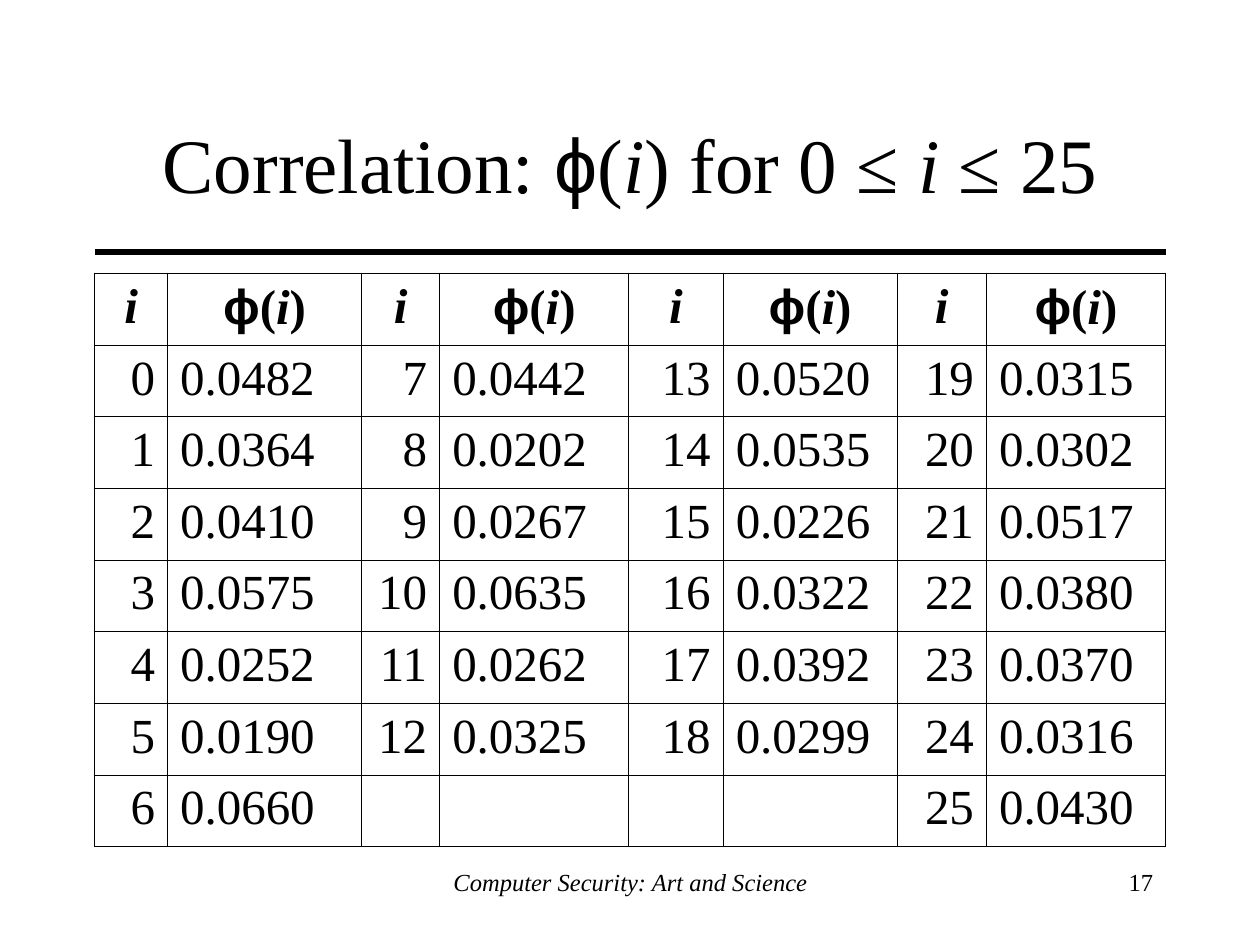
from dataclasses import dataclass

from lxml import etree
from pptx import Presentation
from pptx.dml.color import RGBColor
from pptx.enum.shapes import MSO_CONNECTOR
from pptx.enum.text import MSO_ANCHOR, PP_ALIGN
from pptx.oxml.ns import qn
from pptx.util import Inches, Pt

LEFT, CENTER, RIGHT = PP_ALIGN.LEFT, PP_ALIGN.CENTER, PP_ALIGN.RIGHT
MIDDLE = MSO_ANCHOR.MIDDLE
STRAIGHT = MSO_CONNECTOR.STRAIGHT
TITLE_ONLY = 5


@dataclass(frozen=True)
class Theme:
    ink: RGBColor = RGBColor(0, 0, 0)
    font: str = "Times New Roman"
    symbol_font: str = "Arial"
    title: int = 44
    cell: int = 28
    footer: int = 14
    rule: float = 3
    outer_border: float = 1.08
    inner_border: float = 0.45


@dataclass(frozen=True)
class Group:
    """A pair of columns listing consecutive i with their ϕ(i)."""
    first: int
    values: tuple[str, ...]


@dataclass(frozen=True)
class Footer:
    text: str
    left: float
    width: float
    align: PP_ALIGN
    italic: bool


THEME = Theme()
GROUPS = (
    Group(0, ("0.0482", "0.0364", "0.0410", "0.0575", "0.0252", "0.0190", "0.0660")),
    Group(7, ("0.0442", "0.0202", "0.0267", "0.0635", "0.0262", "0.0325")),
    Group(13, ("0.0520", "0.0535", "0.0226", "0.0322", "0.0392", "0.0299")),
    Group(19, ("0.0315", "0.0302", "0.0517", "0.0380", "0.0370", "0.0316", "0.0430")),
)
FOOTERS = (
    Footer("Computer Security: Art and Science", 3.42, 3.17, CENTER, True),
    Footer("17", 7.17, 2.08, RIGHT, False),
)
COLUMN_WIDTHS = (0.58, 1.54, 0.62, 1.5, 0.75, 1.38, 0.71, 1.42)
ROWS = 8
LEFT_EDGE, CONTENT_WIDTH = 0.75, 8.5
TABLE_TOP, TABLE_HEIGHT = 2.17, 4.55


def format_paragraph(p, size: float, align: PP_ALIGN, bold: bool = False) -> None:
    p.alignment = align
    p.font.name, p.font.size, p.font.bold = THEME.font, Pt(size), bold
    p.font.color.rgb = THEME.ink


def add_math(p, parts: tuple[str, ...]) -> None:
    """Write the parts as runs: variables italic, ϕ in the symbol font."""
    for part in parts:
        r = p.add_run()
        r.text = part
        if part == "i":
            r.font.italic = True
        elif part == "ϕ":
            r.font.name = THEME.symbol_font


def set_borders(cell, row: int, col: int) -> None:
    """Draw the outer frame thicker than the inner grid."""
    outer_sides = {
        "lnL": col == 0,
        "lnR": col == len(COLUMN_WIDTHS) - 1,
        "lnT": row == 0,
        "lnB": row == ROWS - 1,
    }
    tc_pr = cell._tc.get_or_add_tcPr()
    for side, outer in outer_sides.items():
        width = THEME.outer_border if outer else THEME.inner_border
        ln = etree.SubElement(tc_pr, qn(f"a:{side}"), w=str(Pt(width)))
        fill = etree.SubElement(ln, qn("a:solidFill"))
        etree.SubElement(fill, qn("a:srgbClr"), val=str(THEME.ink))


def fill_cell(cell, parts: tuple[str, ...], align: PP_ALIGN, bold: bool = False) -> None:
    p = cell.text_frame.paragraphs[0]
    format_paragraph(p, THEME.cell, align, bold)
    p.space_before = Pt(7)
    add_math(p, parts)


def add_correlation_table(s) -> None:
    table = s.shapes.add_table(
        ROWS, len(COLUMN_WIDTHS), Inches(LEFT_EDGE), Inches(TABLE_TOP),
        Inches(CONTENT_WIDTH), Inches(TABLE_HEIGHT)).table
    table.first_row = table.horz_banding = False
    for column, width in zip(table.columns, COLUMN_WIDTHS):
        column.width = Inches(width)
    for row in range(ROWS):
        for col in range(len(COLUMN_WIDTHS)):
            cell = table.cell(row, col)
            set_borders(cell, row, col)
            cell.fill.background()
    for g, group in enumerate(GROUPS):
        index_col, value_col = 2 * g, 2 * g + 1
        fill_cell(table.cell(0, index_col), ("i",), CENTER, bold=True)
        fill_cell(table.cell(0, value_col), ("ϕ", "(", "i", ")"), CENTER, bold=True)
        for n, value in enumerate(group.values):
            fill_cell(table.cell(n + 1, index_col), (str(group.first + n),), RIGHT)
            fill_cell(table.cell(n + 1, value_col), (value,), LEFT)


def add_title(s) -> None:
    title = s.shapes.title
    title.left, title.top = Inches(LEFT_EDGE), Inches(0.67)
    title.width, title.height = Inches(CONTENT_WIDTH), Inches(1.25)
    tf = title.text_frame
    tf.vertical_anchor = MIDDLE
    p = tf.paragraphs[0]
    format_paragraph(p, THEME.title, CENTER)
    add_math(p, ("Correlation: ", "ϕ", "(", "i", ") for 0 ≤ ", "i", " ≤ 25"))


def add_rule(s) -> None:
    rule = s.shapes.add_connector(
        STRAIGHT, Inches(LEFT_EDGE), Inches(2),
        Inches(LEFT_EDGE + CONTENT_WIDTH), Inches(2))
    rule.line.color.rgb = THEME.ink
    rule.line.width = Pt(THEME.rule)
    etree.SubElement(rule._element.spPr, qn("a:effectLst"))


def add_footer(s, footer: Footer) -> None:
    sp = s.shapes.add_textbox(
        Inches(footer.left), Inches(6.83), Inches(footer.width), Inches(0.5))
    tf = sp.text_frame
    tf.word_wrap = True
    p = tf.paragraphs[0]
    p.text = footer.text
    format_paragraph(p, THEME.footer, footer.align)
    p.font.italic = footer.italic


def main() -> None:
    prs = Presentation()
    prs.slide_width, prs.slide_height = Inches(10), Inches(7.5)
    s = prs.slides.add_slide(prs.slide_layouts[TITLE_ONLY])

    # Heading
    add_rule(s)
    add_title(s)

    # Values of ϕ(i)
    add_correlation_table(s)

    # Footer and slide number
    for footer in FOOTERS:
        add_footer(s, footer)

    prs.save("out.pptx")


if __name__ == "__main__":
    main()
